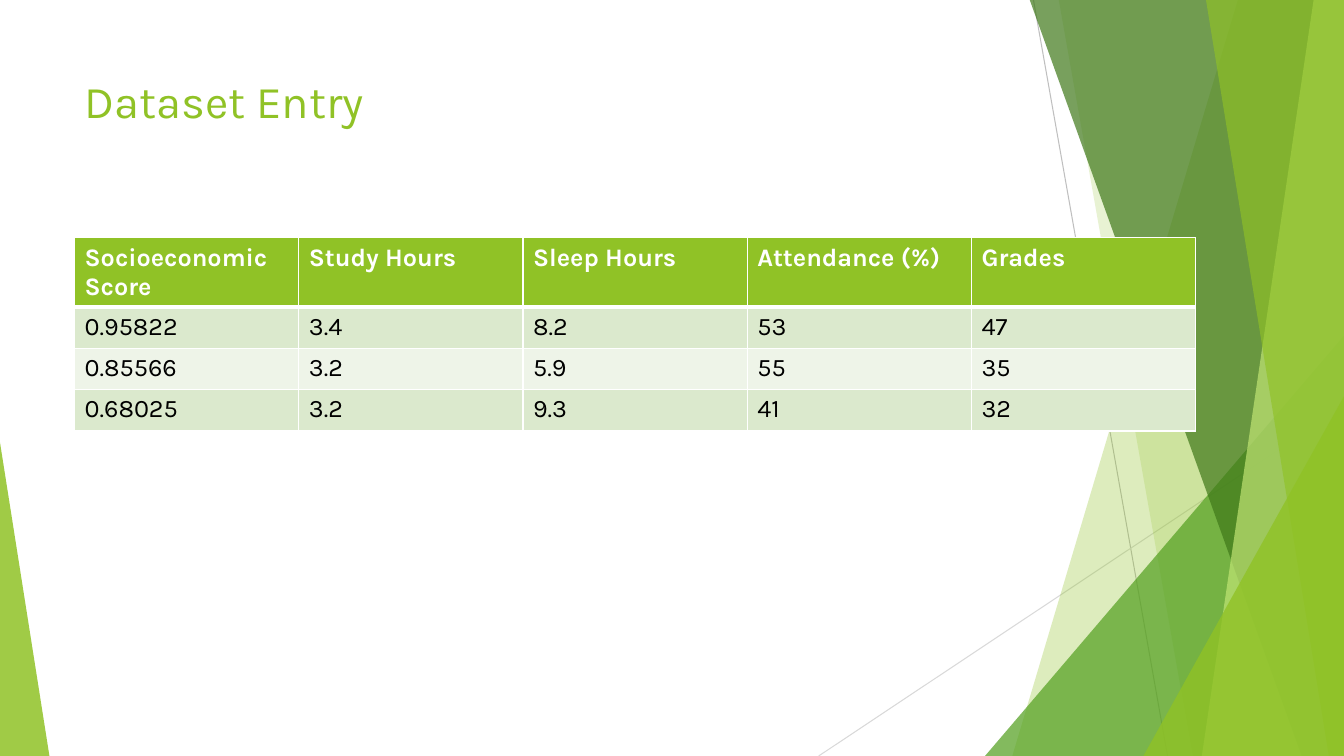
from lxml.etree import SubElement
from pptx import Presentation
from pptx.dml.color import RGBColor
from pptx.enum.shapes import MSO_CONNECTOR, MSO_SHAPE
from pptx.enum.text import MSO_ANCHOR
from pptx.oxml.ns import qn
from pptx.util import Inches, Pt

COLORS = {
    "lime": "90C226", "green": "54A021", "forest": "3F7819", "pale": "C0E474",
    "gray": "BFBFBF", "light_gray": "D9D9D9", "white": "FFFFFF", "black": "000000",
    "band_dark": "DBE9CD", "band_light": "EEF4E8",
}
FONT = "Karla"
WIDTH, HEIGHT = 13.33, 7.5
TOP = -0.01

HEADERS = ["Socioeconomic Score", "Study Hours", "Sleep Hours", "Attendance (%)", "Grades"]
ENTRIES = [
    ["0.95822", "3.4", "8.2", "53", "47"],
    ["0.85566", "3.2", "5.9", "55", "35"],
    ["0.68025", "3.2", "9.3", "41", "32"],
]


def rgb(name):
    return RGBColor.from_string(COLORS[name])


def write(frame, text, size=18, color="black", bold=False):
    frame.text = text
    font = frame.paragraphs[0].runs[0].font
    font.name, font.size, font.bold = FONT, Pt(size), bold
    font.color.rgb = rgb(color)


def paint(shape, color, opacity):
    """Fill without outline or shadow; opacity is a percentage."""
    shape.shadow.inherit = False
    shape.line.fill.background()
    shape.fill.solid()
    shape.fill.fore_color.rgb = rgb(color)
    for clr in shape.fill._xPr.iter(qn("a:srgbClr")):
        SubElement(clr, qn("a:alpha"), val=str(opacity * 1000))


def add_ray(slide, start, end, color):
    ray = slide.shapes.add_connector(
        MSO_CONNECTOR.STRAIGHT, *(Inches(v) for v in (*start, *end)))
    ray.line.color.rgb = rgb(color)
    ray.line.width = Pt(0.75)
    SubElement(ray._element.spPr, qn("a:effectLst"))


def add_facet(slide, top_x, bottom_x, color, opacity):
    """Full-height band from a slanted left edge to the right slide edge."""
    corners = [(WIDTH, TOP), (WIDTH, HEIGHT), (bottom_x, HEIGHT)]
    outline = slide.shapes.build_freeform(Inches(top_x), Inches(TOP))
    outline.add_line_segments([(Inches(x), Inches(y)) for x, y in corners], close=True)
    paint(outline.convert_to_shape(), color, opacity)


def add_corner(slide, left, top, width, apex, color, opacity):
    """Triangle standing on the bottom slide edge."""
    corner = slide.shapes.add_shape(
        MSO_SHAPE.ISOSCELES_TRIANGLE,
        *(Inches(v) for v in (left, top, width, HEIGHT - top)))
    corner.adjustments[0] = apex
    paint(corner, color, opacity)


def add_backdrop(slide):
    add_ray(slide, (10.25, 0), (11.58, HEIGHT), "gray")
    add_ray(slide, (WIDTH, 4.03), (8.12, HEIGHT), "light_gray")
    add_facet(slide, 12.28, 10.04, "lime", 30)
    add_facet(slide, 10.5, 11.83, "lime", 20)
    add_corner(slide, 9.77, 3.33, 3.56, 1, "green", 72)
    add_facet(slide, 10.21, 12.91, "forest", 70)
    add_facet(slide, 13.03, 11.92, "pale", 70)
    add_facet(slide, 11.96, 13.18, "lime", 65)
    add_corner(slide, 11.34, 3.93, 1.99, 1, "lime", 80)
    add_corner(slide, 0, 4.39, 0.49, 0, "lime", 85)


def set_title(slide, left, top, width, height):
    title = slide.shapes.title
    title.left, title.top = Inches(left), Inches(top)
    title.width, title.height = Inches(width), Inches(height)
    write(title.text_frame, "Dataset Entry", size=32.4, color="lime")
    title.text_frame.vertical_anchor = MSO_ANCHOR.MIDDLE
    title.text_frame.paragraphs[0].alignment = 1


def add_borders(cell, **widths):
    properties = cell._tc.get_or_add_tcPr()
    for side, width in widths.items():
        border = SubElement(properties, qn(f"a:ln{side}"), w=str(Pt(width)))
        fill = SubElement(border, qn("a:solidFill"))
        SubElement(fill, qn("a:srgbClr"), val=COLORS["white"])


def add_entries(slide, left, top, width, header_height, row_height):
    rows = [HEADERS, *ENTRIES]
    height = header_height + row_height * len(ENTRIES)
    table = slide.shapes.add_table(
        len(rows), len(HEADERS), *(Inches(v) for v in (left, top, width, height))).table
    for r, row in enumerate(rows):
        header = r == 0
        table.rows[r].height = Inches(header_height if header else row_height)
        band = "lime" if header else "band_dark" if r % 2 else "band_light"
        for c, text in enumerate(row):
            cell = table.cell(r, c)
            add_borders(cell, L=1, R=1, T=3 if r == 1 else 1, B=3 if header else 1)
            cell.fill.solid()
            cell.fill.fore_color.rgb = rgb(band)
            write(cell.text_frame, text, color="white" if header else "black", bold=header)


def main():
    deck = Presentation()
    deck.slide_width, deck.slide_height = Inches(WIDTH), Inches(HEIGHT)
    slide = deck.slides.add_slide(deck.slide_layouts[5])
    add_backdrop(slide)
    set_title(slide, 0.74, 0.67, 9.4, 0.65)
    add_entries(slide, 0.74, 2.36, 11.12, header_height=0.68, row_height=0.41)
    deck.save("out.pptx")


if __name__ == "__main__":
    main()
